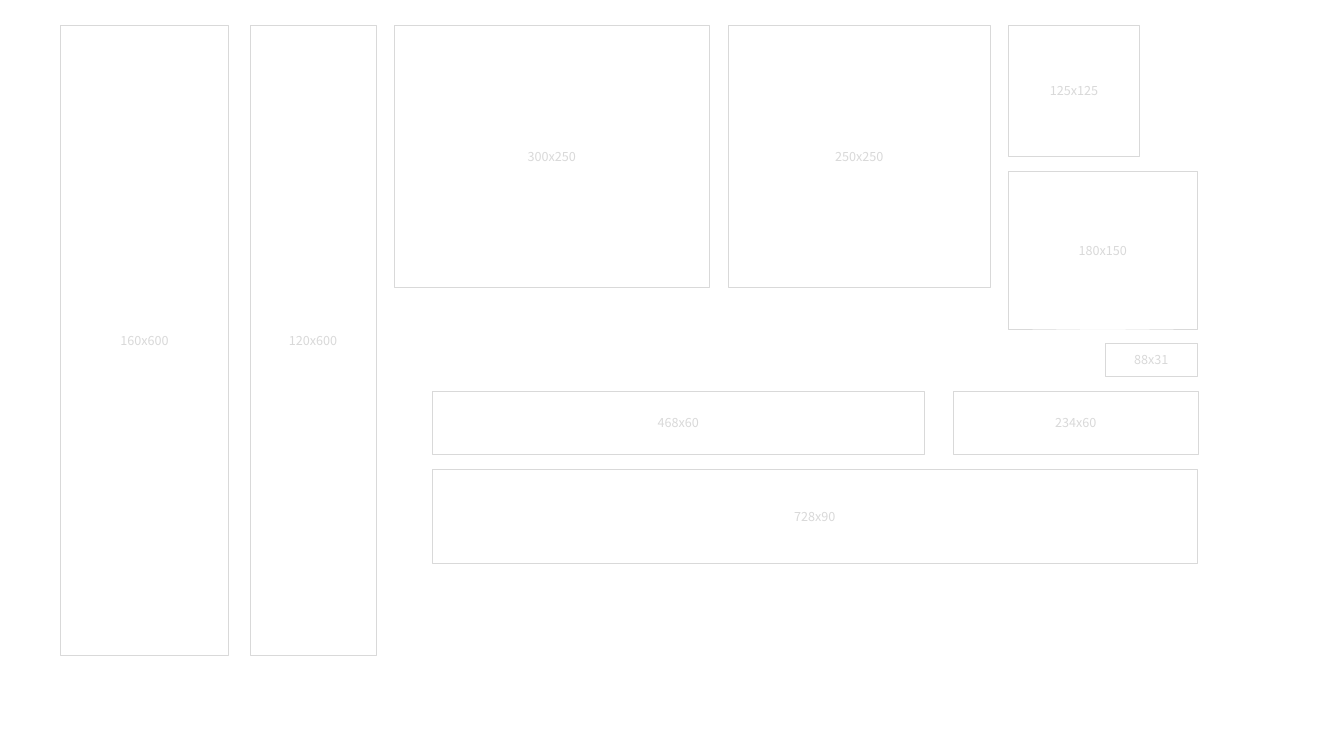
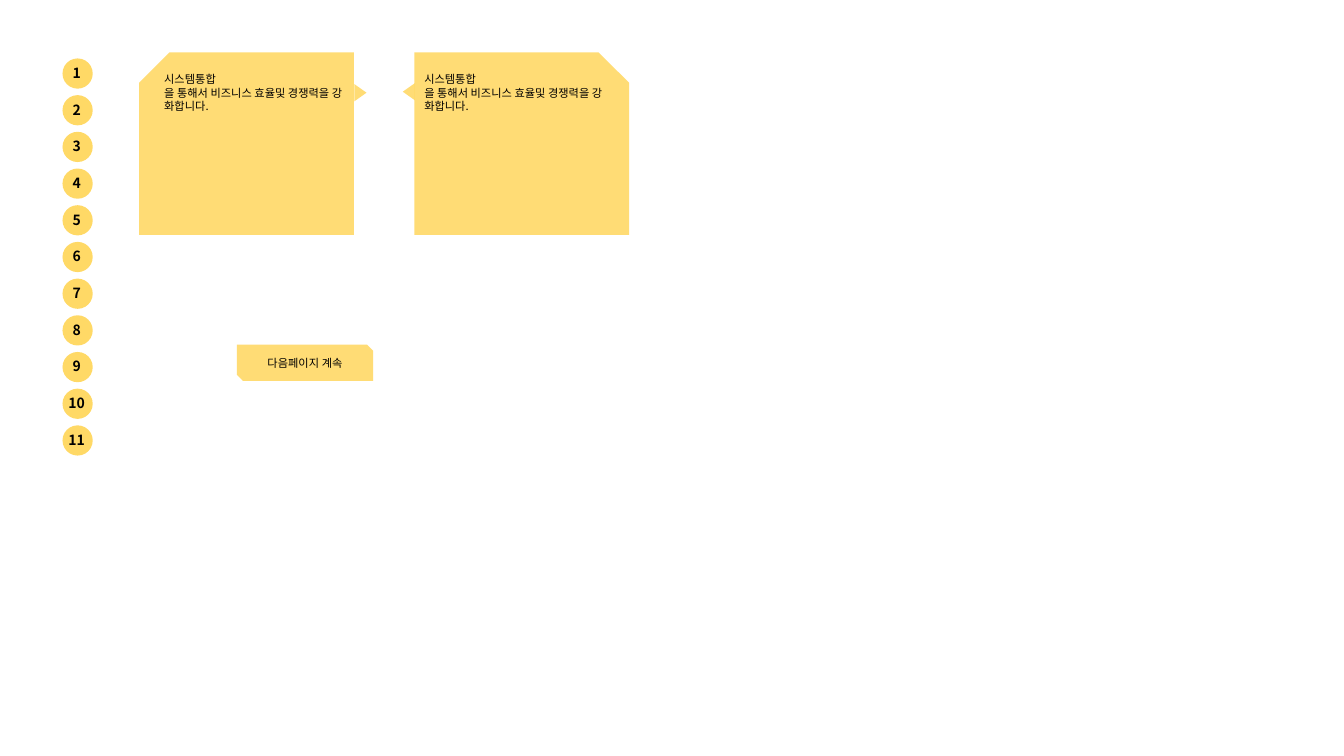
from dataclasses import dataclass
from typing import Any, Optional

import pptx
import pptx.dml.color
import pptx.enum.shapes
import pptx.enum.text
import pptx.oxml.ns
import pptx.util
from lxml import etree

Inches = pptx.util.Inches
Shape = pptx.enum.shapes.MSO_SHAPE
Align = pptx.enum.text.PP_ALIGN
Anchor = pptx.enum.text.MSO_ANCHOR
qn = pptx.oxml.ns.qn


# Shared look
@dataclass(frozen=True)
class Theme:
    font: str = "Noto Sans CJK KR"
    paper: str = "FFFFFF"
    outline: str = "D9D9D9"
    accent: str = "FFD966"
    ink: str = "000000"
    outline_width: float = 0.25
    banner_size: int = 9
    badge_size: int = 10
    note_size: int = 8
    note_opacity: int = 90


THEME = Theme()


# Repeated elements
@dataclass(frozen=True)
class Banner:
    left: float
    top: float
    width_px: int
    height_px: int


@dataclass(frozen=True)
class Callout:
    left: float
    pointer_left: float
    pointer_top: float
    pointer_rotation: int
    mirrored: bool


def rgb(code: str) -> pptx.dml.color.RGBColor:
    return pptx.dml.color.RGBColor.from_string(code)


def add_box(shapes: Any, kind: Any, left: float, top: float, width: float,
            height: float, fill: str, opacity: int = 100,
            outline: Optional[str] = None) -> Any:
    box = shapes.add_shape(kind, Inches(left), Inches(top),
                           Inches(width), Inches(height))
    box.shadow.inherit = False
    box.fill.solid()
    box.fill.fore_color.rgb = rgb(fill)
    if opacity < 100:
        color = box.element.spPr.find(qn("a:solidFill")).find(qn("a:srgbClr"))
        etree.SubElement(color, qn("a:alpha"), val=str(opacity * 1000))
    if outline:
        box.line.color.rgb = rgb(outline)
        box.line.width = pptx.util.Pt(THEME.outline_width)
    else:
        box.line.fill.background()
    return box


def write(shape: Any, text: str, size: int, color: str, align: Any = Align.CENTER,
          anchor: Any = Anchor.MIDDLE, bold: bool = False) -> None:
    shape.text_frame.vertical_anchor = anchor
    paragraph = shape.text_frame.paragraphs[0]
    paragraph.alignment = align
    run = paragraph.add_run()
    run.text = text
    run.font.size = pptx.util.Pt(size)
    run.font.bold = bold
    run.font.color.rgb = rgb(color)
    run.font.name = THEME.font
    # Korean glyphs take the East Asian typeface
    etree.SubElement(run.font.element if hasattr(run.font, "element")
                     else paragraph.runs[0]._r.get_or_add_rPr(),
                     qn("a:ea"), typeface=THEME.font)


def draw_banner(shapes: Any, banner: Banner) -> None:
    frame = add_box(shapes, Shape.RECTANGLE, banner.left, banner.top,
                    banner.width_px / PX_PER_INCH, banner.height_px / PX_PER_INCH,
                    THEME.paper, outline=THEME.outline)
    write(frame, f"{banner.width_px}x{banner.height_px}",
          THEME.banner_size, THEME.outline)


def draw_badge(shapes: Any, number: int, top: float) -> None:
    badge = shapes.add_group_shape().shapes
    add_box(badge, Shape.OVAL, BADGE_LEFT, top, BADGE_SIDE, BADGE_SIDE, THEME.accent)
    width = 0.28 if number < 10 else 0.36
    label = badge.add_textbox(Inches(BADGE_CENTER - width / 2), Inches(top + 0.01),
                              Inches(width), Inches(0.27))
    label.text_frame.word_wrap = False
    label.text_frame.auto_size = pptx.enum.text.MSO_AUTO_SIZE.SHAPE_TO_FIT_TEXT
    write(label, str(number), THEME.badge_size, THEME.ink,
          anchor=Anchor.TOP, bold=True)


def draw_callout(shapes: Any, callout: Callout) -> None:
    parts = shapes.add_group_shape().shapes
    note = add_box(parts, Shape.SNIP_1_RECTANGLE, callout.left, 0.52, 2.13, 1.81,
                   THEME.accent, THEME.note_opacity)
    if callout.mirrored:
        note.element.spPr.find(qn("a:xfrm")).set("flipH", "1")
    write(note, CALLOUT_TEXT, THEME.note_size, THEME.ink, Align.LEFT, Anchor.TOP)
    pointer = add_box(parts, Shape.ISOSCELES_TRIANGLE, callout.pointer_left,
                      callout.pointer_top, 0.17, 0.12,
                      THEME.accent, THEME.note_opacity)
    pointer.rotation = callout.pointer_rotation


# Content
PX_PER_INCH = 96
BANNERS = [
    Banner(7.22, 0.25, 250, 250),
    Banner(3.91, 0.25, 300, 250),
    Banner(4.29, 3.88, 468, 60),
    Banner(9.45, 3.88, 234, 60),
    Banner(10, 0.25, 125, 125),
    Banner(10, 1.7, 180, 150),
    Banner(10.96, 3.41, 88, 31),
    Banner(0.6, 0.25, 160, 600),
    Banner(2.48, 0.25, 120, 600),
    Banner(4.29, 4.65, 728, 90),
]

BADGE_COUNT = 11
BADGE_LEFT, BADGE_SIDE, BADGE_CENTER = 0.62, 0.3, 0.76
BADGE_FIRST_TOP, BADGE_LAST_TOP = 0.58, 4.22
BADGE_PITCH = (BADGE_LAST_TOP - BADGE_FIRST_TOP) / (BADGE_COUNT - 1)

CALLOUT_TEXT = ("시스템통합을\u00a0통해서\u00a0비즈니스\u00a0효율및"
                "\u00a0경쟁력을\u00a0강화합니다.")
CALLOUTS = [
    Callout(1.38, 3.49, 0.86, 90, mirrored=True),
    Callout(4.11, 3.97, 0.85, 270, mirrored=False),
]

deck = pptx.Presentation()
deck.slide_width, deck.slide_height = Inches(13.33), Inches(7.5)
blank_layout = deck.slide_layouts[6]

# Slide 1: banner sizes
banner_shapes = deck.slides.add_slide(blank_layout).shapes
for banner in BANNERS:
    draw_banner(banner_shapes, banner)

# Slide 2: numbered badges, callouts and continuation tag
marker_shapes = deck.slides.add_slide(blank_layout).shapes
for index in range(BADGE_COUNT):
    draw_badge(marker_shapes, index + 1, BADGE_FIRST_TOP + index * BADGE_PITCH)
for callout in CALLOUTS:
    draw_callout(marker_shapes, callout)
continued = add_box(marker_shapes, Shape.SNIP_2_DIAG_RECTANGLE, 2.35, 3.42, 1.35, 0.36,
                    THEME.accent, THEME.note_opacity)
write(continued, "다음페이지 계속", THEME.note_size, THEME.ink)

deck.save("out.pptx")
